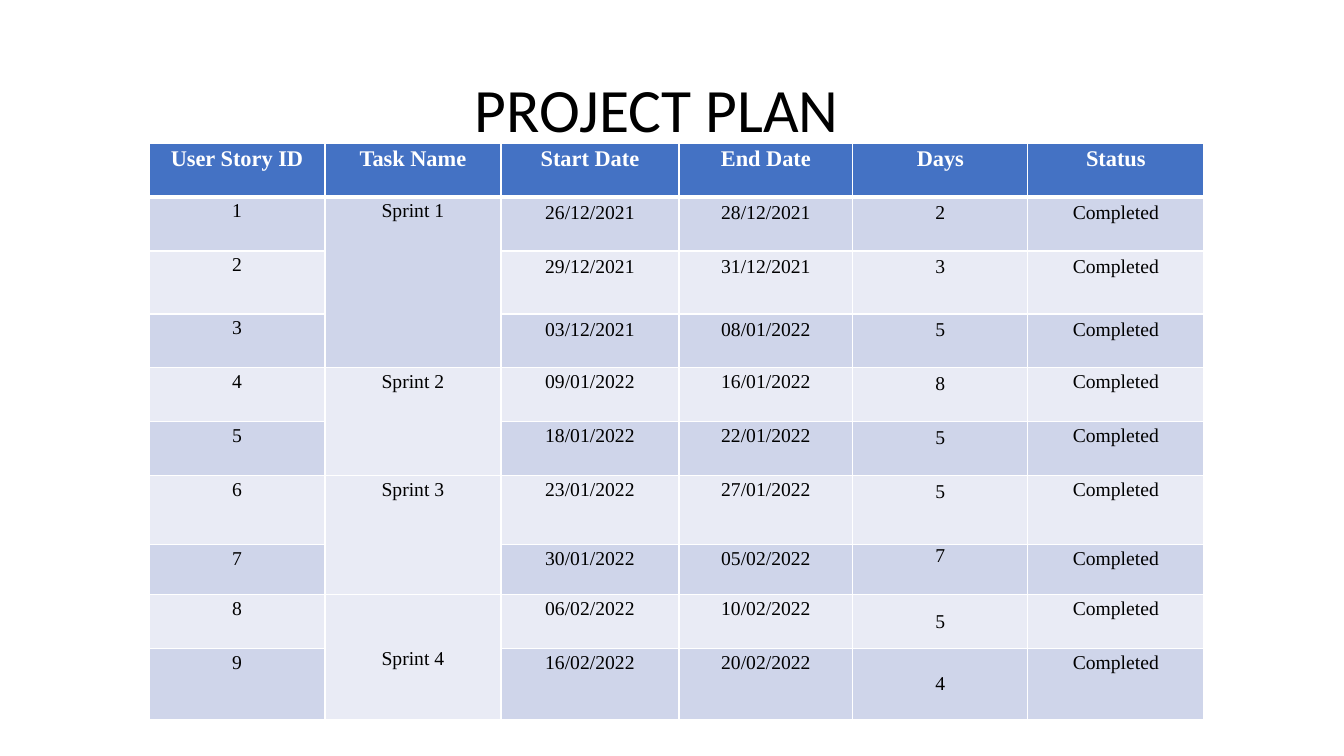
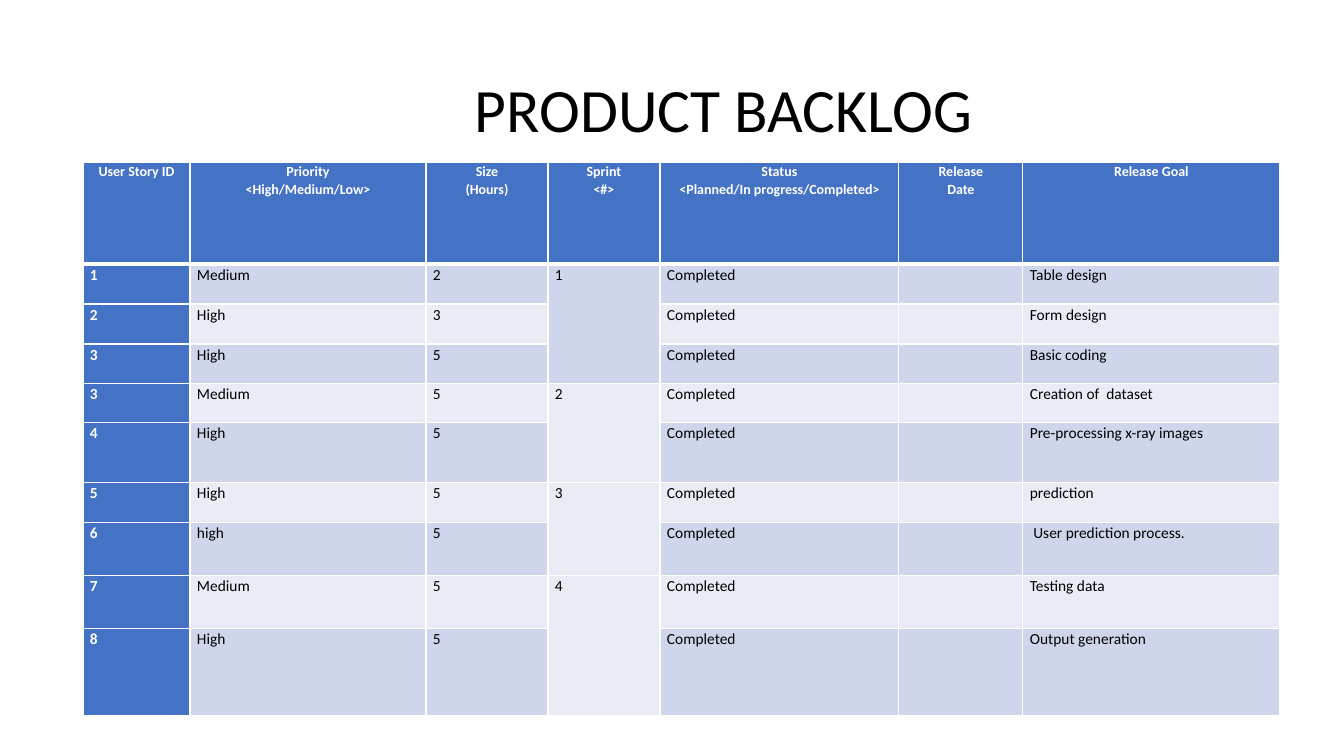
from dataclasses import dataclass, field
from itertools import accumulate

from lxml.etree import SubElement
from pptx import Presentation
from pptx.dml.color import RGBColor as RGB
from pptx.enum.text import MSO_ANCHOR as ANCHOR, PP_ALIGN as ALIGN
from pptx.oxml.ns import qn
from pptx.slide import Slide
from pptx.table import _Cell as Cell
from pptx.text.text import TextFrame
from pptx.util import Emu, Pt

EMU_PER_PX = 914400 / 100.8


def px(n: int) -> Emu:
    return Emu(round(n * EMU_PER_PX))


@dataclass(frozen=True)
class Theme:
    white: str = "FFFFFF"
    black: str = "000000"
    head: str = "4472C4"
    band_dark: str = "CFD5EA"
    band_light: str = "E9EBF5"
    sans: str = "Calibri"
    serif: str = "Times New Roman"
    title_pt: int = 44
    grid_pt: int = 1
    head_rule_pt: int = 3


THEME = Theme()


@dataclass(frozen=True)
class CellStyle:
    spacing: float
    pad_x: int = 7
    pad_y: int = 0
    anchor: ANCHOR = ANCHOR.TOP


@dataclass(frozen=True)
class Grid:
    title: str
    left: int
    top: int
    widths: tuple[int, ...]
    heights: tuple[int, ...]
    rows: tuple[tuple[str, ...], ...]
    sprint_col: int
    font: str
    head_pt: int
    body_pt: int
    align: ALIGN
    style: CellStyle
    head_col: bool = False
    special: dict[tuple[int, int], CellStyle] = field(default_factory=dict)


SPRINT_SPANS = (3, 2, 2, 2)
DAYS_COL = 4
TIGHT = CellStyle(1.15)
ROOMY = CellStyle(1.0, 11, 5)
PLAIN = CellStyle(1.0)
MIDDLE = CellStyle(1.0, anchor=ANCHOR.MIDDLE)

PLAN = Grid(
    title="PROJECT PLAN",
    left=149,
    top=143,
    widths=(176, 176, 178, 174, 175, 176),
    heights=(54, 54, 63, 54, 54, 54, 69, 50, 54, 71),
    rows=(
        ("User Story ID", "Task Name", "Start Date", "End Date", "Days", "Status"),
        ("1", "Sprint 1", "26/12/2021", "28/12/2021", "2", "Completed"),
        ("2", "", "29/12/2021", "31/12/2021", "3", "Completed"),
        ("3", "", "03/12/2021", "08/01/2022", "5", "Completed"),
        ("4", "Sprint 2", "09/01/2022", "16/01/2022", "8", "Completed"),
        ("5", "", "18/01/2022", "22/01/2022", "5", "Completed"),
        ("6", "Sprint 3", "23/01/2022", "27/01/2022", "5", "Completed"),
        ("7", "", "30/01/2022", "05/02/2022", "7", "Completed"),
        ("8", "Sprint 4", "06/02/2022", "10/02/2022", "5", "Completed"),
        ("9", "", "16/02/2022", "20/02/2022", "4", "Completed"),
    ),
    sprint_col=1,
    font=THEME.serif,
    head_pt=16,
    body_pt=14,
    align=ALIGN.CENTER,
    style=TIGHT,
    special={
        **{(row, col): ROOMY for row in range(1, 4) for col in range(2, 6)},
        **{(row, DAYS_COL): ROOMY for row in range(4, 7)},
        (7, DAYS_COL): PLAIN,
        (8, DAYS_COL): MIDDLE,
        (9, DAYS_COL): MIDDLE,
        (8, 1): CellStyle(1.15, anchor=ANCHOR.MIDDLE),
    },
)

BACKLOG = Grid(
    title="PRODUCT BACKLOG",
    left=83,
    top=162,
    widths=(107, 236, 122, 112, 239, 124, 257),
    heights=(102, 40, 40, 40, 39, 60, 40, 53, 53, 87),
    rows=(
        ("User Story ID", "Priority\n<High/Medium/Low>", "Size\n(Hours)", "Sprint\n<#>",
         "Status\n<Planned/In progress/Completed>", "Release\nDate", "Release Goal"),
        ("1", "Medium", "2", "1", "Completed", "", "Table design"),
        ("2", "High", "3", "", "Completed", "", "Form design"),
        ("3", "High", "5", "", "Completed", "", "Basic coding"),
        ("3", "Medium", "5", "2", "Completed", "", "Creation of  dataset"),
        ("4", "High", "5", "", "Completed", "", "Pre-processing x-ray images"),
        ("5", "High", "5", "3", "Completed", "", "prediction"),
        ("6", "high", "5", "", "Completed", "", " User prediction process."),
        ("7", "Medium", "5", "4", "Completed", "", "Testing data"),
        ("8", "High", "5", "", "Completed", "", "Output generation"),
    ),
    sprint_col=3,
    font=THEME.sans,
    head_pt=10,
    body_pt=11,
    align=ALIGN.LEFT,
    style=CellStyle(1.07),
    head_col=True,
)


def write(tf: TextFrame, text: str, font: str, size: int, color: str,
          bold: bool, align: ALIGN, spacing: float) -> None:
    for i, line in enumerate(text.split("\n")):
        p = tf.add_paragraph() if i else tf.paragraphs[0]
        p.alignment = align
        p.line_spacing = spacing
        if line:
            r = p.add_run()
            r.text = line
            for name, value in {"name": font, "size": Pt(size), "bold": bold}.items():
                setattr(r.font, name, value)
            r.font.color.rgb = RGB.from_string(color)


def add_title(s: Slide, text: str) -> None:
    sp = s.shapes.add_textbox(px(465), px(40), px(786), px(146))
    tf = sp.text_frame
    tf.word_wrap = True
    tf.vertical_anchor = ANCHOR.MIDDLE
    write(tf, text, THEME.sans, THEME.title_pt, THEME.black, False, ALIGN.LEFT, 0.9)


def add_borders(cell: Cell, row: int) -> None:
    rule_side = {0: "B", 1: "T"}.get(row)
    for side in "LRTB":
        width = THEME.head_rule_pt if side == rule_side else THEME.grid_pt
        ln = SubElement(cell._tc.get_or_add_tcPr(), qn(f"a:ln{side}"), w=str(Pt(width)))
        fill = SubElement(ln, qn("a:solidFill"))
        SubElement(fill, qn("a:srgbClr"), val=THEME.white)


def format_cell(cell: Cell, grid: Grid, row: int, col: int) -> None:
    is_head = row == 0
    is_strong = is_head or (grid.head_col and col == 0)
    style = grid.special.get((row, col), grid.style)
    band = THEME.band_dark if row % 2 else THEME.band_light
    add_borders(cell, row)
    cell.fill.solid()
    cell.fill.fore_color.rgb = RGB.from_string(THEME.head if is_strong else band)
    for name, value in {
        "margin_left": px(style.pad_x),
        "margin_right": px(style.pad_x),
        "margin_top": px(style.pad_y),
        "margin_bottom": px(style.pad_y),
        "vertical_anchor": style.anchor,
    }.items():
        setattr(cell, name, value)
    write(
        cell.text_frame,
        grid.rows[row][col],
        grid.font,
        grid.head_pt if is_head else grid.body_pt,
        THEME.white if is_strong else THEME.black,
        is_strong,
        ALIGN.CENTER if is_head else grid.align,
        style.spacing,
    )


def add_grid(s: Slide, grid: Grid) -> None:
    table = s.shapes.add_table(
        len(grid.heights), len(grid.widths), px(grid.left), px(grid.top),
        px(sum(grid.widths)), px(sum(grid.heights)),
    ).table
    table.horz_banding = False
    table.first_col = grid.head_col
    for column, width in zip(table.columns, grid.widths):
        column.width = px(width)
    for row, height in enumerate(grid.heights):
        table.rows[row].height = px(height)
        for col in range(len(grid.widths)):
            format_cell(table.cell(row, col), grid, row, col)
    for first, span in zip(accumulate(SPRINT_SPANS, initial=1), SPRINT_SPANS):
        last = table.cell(first + span - 1, grid.sprint_col)
        table.cell(first, grid.sprint_col).merge(last)


def main() -> None:
    prs = Presentation()
    prs.slide_width, prs.slide_height = px(1344), px(756)
    for grid in (PLAN, BACKLOG):
        s = prs.slides.add_slide(prs.slide_layouts[6])
        add_title(s, grid.title)
        add_grid(s, grid)
    prs.save("out.pptx")


if __name__ == "__main__":
    main()
